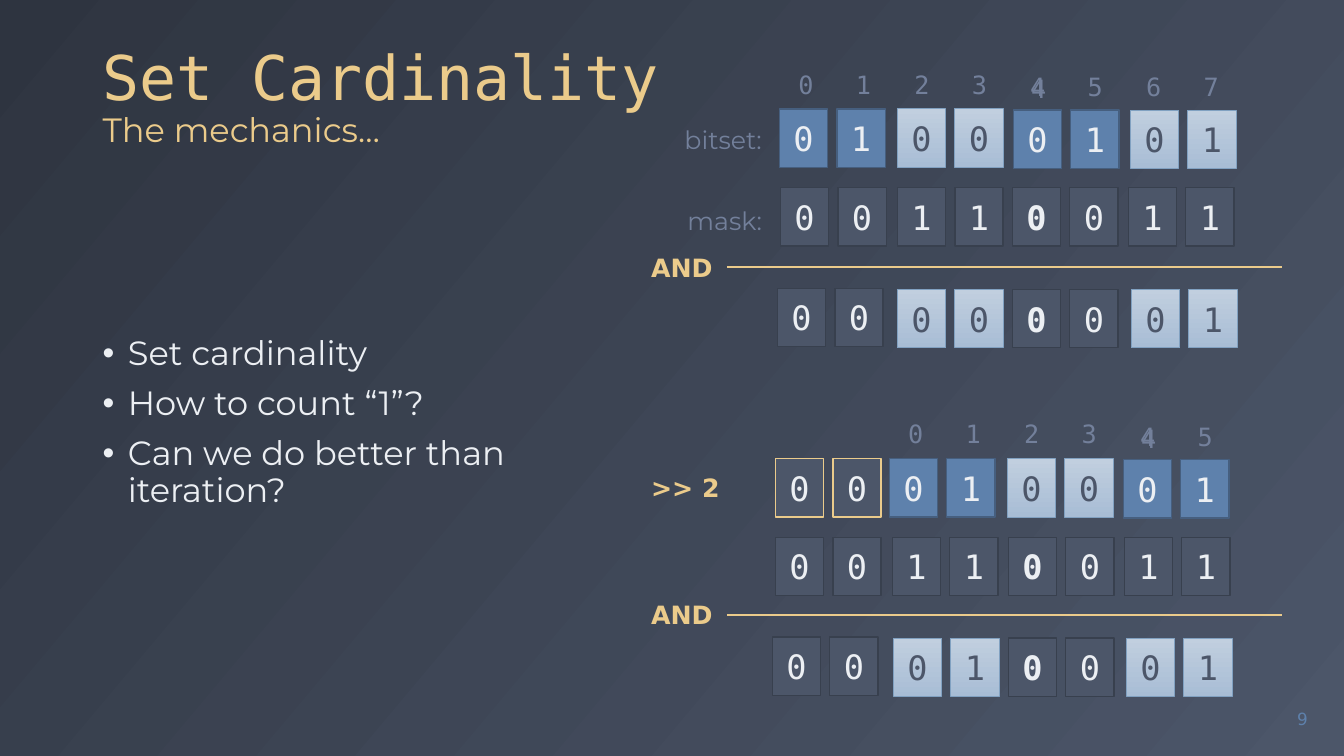
from dataclasses import dataclass

from lxml import etree
from pptx import Presentation
from pptx import util as u
from pptx.dml.color import RGBColor
from pptx.enum import shapes, text
from pptx.oxml.ns import qn

PX = 9144  # 100 px to the inch


@dataclass(frozen=True)
class Theme:
    mono: str = "DejaVu Sans Mono"
    sans: str = "DejaVu Sans"
    body: str = "Montserrat"
    gold: str = "EBCB8B"
    light: str = "ECEFF3"
    muted: str = "73809B"
    blue: str = "5E81AC"
    slate: str = "4C5669"
    night: str = "2E3440"
    pale: tuple = ("C1CFDF", "A8BDD5")
    title_size: int = 44
    text_size: int = 24
    label_size: int = 18
    number_size: int = 12

    def look(self, name):
        """Fill colours, line colour, line width and text colour of a bit cell."""
        return {
            "set": ((self.blue,), "465F7F", 1, self.light),
            "pale": (self.pale, "81A1C1", 0.5, self.slate),
            "mask": ((self.slate,), "38404E", 1, self.light),
            "shifted": ((self.slate,), self.gold, 1, self.light),
        }[name]


def rgb(color):
    return RGBColor.from_string(color)


def write(p, content, *, size, font, color, bold=False):
    r = p.add_run()
    r.text = content
    r.font.size = u.Pt(size)
    r.font.name = font
    r.font.bold = bold
    r.font.color.rgb = rgb(color)


def paint(fill, colors, angle):
    if len(colors) == 1:
        fill.solid()
        fill.fore_color.rgb = rgb(colors[0])
        return
    fill.gradient()
    fill.gradient_angle = angle
    for stop, color in zip(fill.gradient_stops, colors):
        stop.color.rgb = rgb(color)


class Deck:
    CELL_W, CELL_H, STEP = 48, 58, 57.5

    def __init__(self, theme):
        self.theme = theme
        self.prs = Presentation()
        self.prs.slide_width, self.prs.slide_height = u.Emu(1333 * PX), u.Emu(750 * PX)
        self.s = self.prs.slides.add_slide(self.prs.slide_layouts[6])
        paint(self.s.background.fill, (theme.night, theme.slate), 320)

    def box(self, x, y, w, h, anchor=text.MSO_ANCHOR.TOP, wrap=True):
        tf = self.s.shapes.add_textbox(x * PX, y * PX, w * PX, h * PX).text_frame
        tf.word_wrap = wrap
        tf.vertical_anchor = anchor
        if not wrap:
            tf.auto_size = text.MSO_AUTO_SIZE.SHAPE_TO_FIT_TEXT
        return tf

    def label(self, x, y, w, content, font, color, bold=False):
        p = self.box(x, y, w, 40, wrap=False).paragraphs[0]
        write(p, content, size=self.theme.label_size, font=font, color=color, bold=bold)

    def indexes(self, x, y, digits):
        for i, digit in enumerate(digits):
            self.label(x + int(i * self.STEP), y, 34, digit, self.theme.mono, self.theme.muted)

    def cell(self, x, y, bit, look, bold):
        fill, line, width, color = self.theme.look(look)
        sp = self.s.shapes.add_shape(shapes.MSO_SHAPE.RECTANGLE, x * PX, y * PX,
                                     self.CELL_W * PX, self.CELL_H * PX)
        sp.shadow.inherit = False
        paint(sp.fill, fill, 270)
        sp.line.color.rgb = rgb(line)
        sp.line.width = u.Pt(width)
        tf = sp.text_frame
        tf.vertical_anchor = text.MSO_ANCHOR.MIDDLE
        p = tf.paragraphs[0]
        p.alignment = text.PP_ALIGN.CENTER
        write(p, bit, size=self.theme.text_size, font=self.theme.mono, color=color, bold=bold)

    def bits(self, pairs):
        """A row of four bit pairs; the first bit of the third mask pair is bold."""
        for n, (x, y, pair, look) in enumerate(pairs):
            for i, bit in enumerate(pair):
                bold = look == "mask" and (n, i) == (2, 0)
                self.cell(x + int(i * self.STEP), y, bit, look, bold)

    def rule(self, x1, x2, y):
        line = self.s.shapes.add_connector(shapes.MSO_CONNECTOR.STRAIGHT,
                                           x1 * PX, y * PX, x2 * PX, y * PX)
        line.line.color.rgb = rgb(self.theme.gold)
        line.line.width = u.Pt(1.5)
        etree.SubElement(line._element.spPr, qn("a:effectLst"))

    def title(self, heading, subtitle):
        t = self.theme
        p = self.box(92, 18, 1150, 136, text.MSO_ANCHOR.BOTTOM).paragraphs[0]
        p.line_spacing = 0.9
        write(p, heading, size=t.title_size, font=t.mono, color=t.gold)
        p.add_line_break()
        write(p, subtitle, size=t.text_size, font=t.body, color=t.gold)

    def bullets(self, items):
        t = self.theme
        tf = self.box(92, 200, 575, 439, text.MSO_ANCHOR.MIDDLE)
        for i, item in enumerate(items):
            p = tf.add_paragraph() if i else tf.paragraphs[0]
            p.line_spacing = 0.9
            p.space_before = u.Pt(10)
            pPr = p._p.get_or_add_pPr()
            pPr.set("marL", str(25 * PX))
            pPr.set("indent", str(-25 * PX))
            etree.SubElement(pPr, qn("a:buFont")).set("typeface", "Arial")
            etree.SubElement(pPr, qn("a:buChar")).set("char", "•")
            write(p, item, size=t.text_size, font=t.body, color=t.light)

    def page_number(self, number):
        t = self.theme
        p = self.box(1224, 693, 83, 40, text.MSO_ANCHOR.MIDDLE).paragraphs[0]
        p.alignment = text.PP_ALIGN.RIGHT
        write(p, number, size=t.number_size, font=t.sans, color=t.blue)


def main():
    t = Theme()
    deck = Deck(t)

    # Title, bullets and page number
    deck.title("Set Cardinality", "The mechanics…")
    deck.bullets(["Set cardinality", "How to count “1”?", "Can we do better than iteration?"])
    deck.page_number("9")

    # Bit indexes
    for x, y, digits in [(782, 64, "0123"), (1012, 66, "4567"), (1013, 68, "4"),
                         (891, 410, "0123"), (1121, 413, "45"), (1122, 415, "4")]:
        deck.indexes(x, y, digits)

    # Bitset AND mask
    deck.bits([(773, 108, "01", "set"), (890, 108, "00", "pale"),
               (1005, 109, "01", "set"), (1121, 109, "01", "pale")])
    deck.bits([(774, 186, "00", "mask"), (890, 186, "11", "mask"),
               (1004, 186, "00", "mask"), (1119, 186, "11", "mask")])
    deck.bits([(771, 286, "00", "mask"), (890, 287, "00", "pale"),
               (1004, 287, "00", "mask"), (1122, 287, "01", "pale")])

    # Bitset shifted by two, AND mask
    deck.bits([(769, 455, "00", "shifted"), (882, 455, "01", "set"),
               (999, 455, "00", "pale"), (1114, 456, "01", "set")])
    deck.bits([(769, 533, "00", "mask"), (885, 533, "11", "mask"),
               (1000, 533, "00", "mask"), (1115, 533, "11", "mask")])
    deck.bits([(766, 632, "00", "mask"), (886, 633, "01", "pale"),
               (1000, 633, "00", "mask"), (1117, 633, "01", "pale")])

    # Row names and operators
    deck.label(669, 118, 98, "bitset:", t.body, t.muted)
    deck.label(672, 199, 95, "mask:", t.body, t.muted)
    deck.label(636, 464, 90, ">> 2", t.sans, t.gold, bold=True)
    for y in (265, 610):
        deck.label(636, y - 20, 82, "AND", t.sans, t.gold, bold=True)
        deck.rule(721, 1272, y)

    deck.prs.save("out.pptx")


if __name__ == "__main__":
    main()
